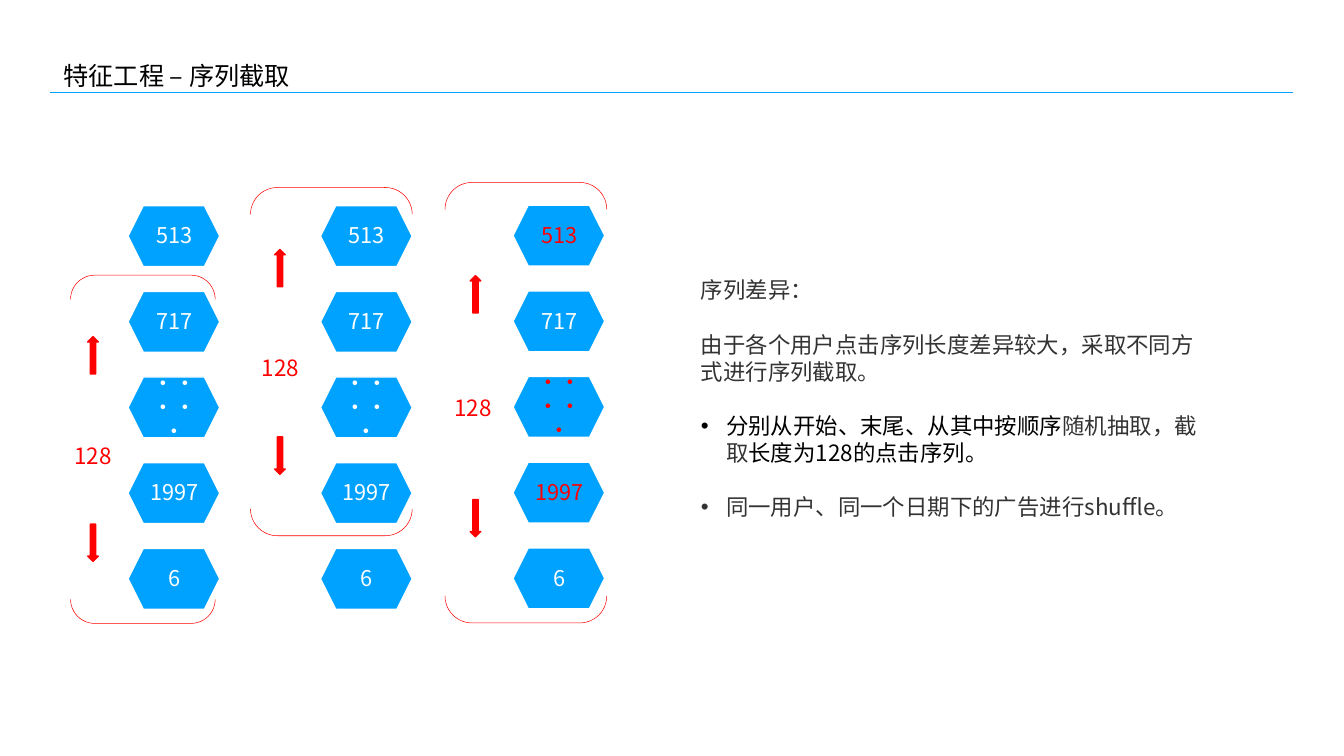
from lxml import etree
from pptx import Presentation
from pptx.dml.color import RGBColor
from pptx.enum.shapes import MSO_CONNECTOR, MSO_SHAPE
from pptx.enum.text import MSO_ANCHOR, PP_ALIGN
from pptx.oxml.ns import qn
from pptx.util import Inches, Pt

STRAIGHT = MSO_CONNECTOR.STRAIGHT
HEXAGON = MSO_SHAPE.HEXAGON
UP_ARROW = MSO_SHAPE.UP_ARROW
BRACKETS = MSO_SHAPE.DOUBLE_BRACKET
MIDDLE = MSO_ANCHOR.MIDDLE
CENTER = PP_ALIGN.CENTER

FONT = "Noto Sans CJK SC"
COLORS = {"blue": "00A2FF", "red": "FF0000", "white": "FFFFFF", "black": "000000", "gray": "333333"}

CLICKS = ["513", "717", "·····", "1997", "6"]
ROW_PITCH = 1.7
HEX_WIDTH, HEX_HEIGHT = 1.82, 1.21
ARROW_WIDTH, ARROW_HEIGHT = 0.21, 0.74
LABEL_WIDTH, LABEL_HEIGHT = 0.95, 0.7

# column left/top, red clicks, bracket box, label left/top, arrow left, arrow tops
SEQUENCES = [
    ((2.54, 4.08), (), (1.4, 5.46, 2.87, 6.91), (1.37, 8.68), 1.74, (6.68, 10.4)),
    ((6.36, 4.08), (), (4.97, 3.72, 3.21, 6.91), (5.09, 6.95), 5.45, (4.95, 8.67)),
    ((10.18, 4.07), ("513", "·····", "1997"), (8.83, 3.62, 3.21, 8.74), (8.91, 7.74), 9.33, (5.47, 9.91)),
]

NOTES = [
    (False, [("序列差异：", "gray")]),
    (False, [("由于各个用户点击序列长度差异较大，采取不同方式进行序列截取。", "gray")]),
    (True, [("分别从开始、末尾、从其中按顺序", "black"), ("随机抽取，截取", "gray"),
            ("长度为128的点击序列。", "black")]),
    (True, [("同一用户、同一个日期下的广告进行shuffle。", "gray")]),
]


def rgb(name):
    """Return the named colour."""
    return RGBColor.from_string(COLORS[name])


def format_run(run, size, color):
    """Set size, colour and both Latin and East Asian fonts of a run."""
    run.font.size = Pt(size)
    run.font.name = FONT
    run.font.color.rgb = rgb(color)
    etree.SubElement(run.font._element, qn("a:ea")).set("typeface", FONT)


def add_text(shapes, box, text, size, color, inset=0.08, wrap=True):
    """Add a vertically centred one-paragraph text box and return its paragraph."""
    frame = shapes.add_textbox(*map(Inches, box)).text_frame
    frame.word_wrap = wrap
    frame.vertical_anchor = MIDDLE
    frame.margin_left = frame.margin_right = Inches(inset)
    frame.margin_top = frame.margin_bottom = Inches(inset)
    paragraph = frame.paragraphs[0]
    paragraph.text = text
    format_run(paragraph.runs[0], size, color)
    return paragraph


def add_preset(shapes, kind, box, fill, line, width):
    """Add a preset shape, unfilled when fill is None."""
    shape = shapes.add_shape(kind, *map(Inches, box))
    shape.shadow.inherit = False
    if fill:
        shape.fill.solid()
        shape.fill.fore_color.rgb = rgb(fill)
    else:
        shape.fill.background()
    shape.line.color.rgb = rgb(line)
    shape.line.width = Pt(width)
    return shape


def add_header(slide, left, top, width):
    """Place the title above its rule."""
    add_text(slide.shapes, (left + 0.18, top, 21.61, 0.76), "特征工程 – 序列截取", 36, "black")
    rule_y = Inches(top + 0.72)
    rule = slide.shapes.add_connector(STRAIGHT, Inches(left), rule_y, Inches(left + width), rule_y)
    rule.line.color.rgb = rgb("blue")
    rule.line.width = Pt(2)
    etree.SubElement(rule._element.spPr, qn("a:effectLst"))


def add_click(slide, left, top, text, color):
    """Place one grouped hexagon with its click id."""
    click = slide.shapes.add_group_shape()
    add_preset(click.shapes, HEXAGON, (left, top, HEX_WIDTH, HEX_HEIGHT), "blue", "white", 2)
    box = (left + 0.26, top + 0.17, 1.31, 0.88)
    paragraph = add_text(click.shapes, box, text, 31, color, inset=0.13)
    paragraph.alignment = CENTER
    paragraph.line_spacing = Pt(34)


def add_sequence(slide, column, red_clicks, bracket, label, arrow_left, arrow_tops):
    """Place a column of clicks with the bracket, label and arrows of its window."""
    left, top = column
    for row, text in enumerate(CLICKS):
        color = "red" if text in red_clicks else "white"
        add_click(slide, left, top + row * ROW_PITCH, text, color)

    x, y, width, height = bracket
    turned = (x + (width - height) / 2, y + (height - width) / 2, height, width)
    add_preset(slide.shapes, BRACKETS, turned, None, "red", 0.75).rotation = 90

    count = add_text(slide.shapes, (*label, LABEL_WIDTH, LABEL_HEIGHT), "128", 32, "red", wrap=False)
    count.alignment = CENTER
    for arrow_top, angle in zip(arrow_tops, (0, 180)):
        box = (arrow_left, arrow_top, ARROW_WIDTH, ARROW_HEIGHT)
        add_preset(slide.shapes, UP_ARROW, box, "red", "red", 2).rotation = angle


def add_notes_text(slide, left, top, width, height):
    """Place the explanation with its two bullets."""
    frame = slide.shapes.add_textbox(*map(Inches, (left, top, width, height))).text_frame
    frame.word_wrap = True
    for index, (bulleted, parts) in enumerate(NOTES):
        paragraph = frame.add_paragraph() if index else frame.paragraphs[0]
        paragraph.line_spacing = Pt(38.8)
        paragraph.space_before = Pt(38.8 if index else 0)
        for text, color in parts:
            run = paragraph.add_run()
            run.text = text
            format_run(run, 32, color)
        if bulleted:
            properties = paragraph._p.get_or_add_pPr()
            properties.set("marL", str(Inches(0.5)))
            properties.set("indent", str(Inches(-0.5)))
            etree.SubElement(properties, qn("a:buFont")).set("typeface", "Arial")
            etree.SubElement(properties, qn("a:buChar")).set("char", "•")


def main():
    """Build and save the slide."""
    presentation = Presentation()
    presentation.slide_width = Inches(26.67)
    presentation.slide_height = Inches(15)
    slide = presentation.slides.add_slide(presentation.slide_layouts[6])
    add_header(slide, 1, 1.11, 24.65)
    add_notes_text(slide, 13.81, 5.43, 10.06, 4.95)
    for sequence in SEQUENCES:
        add_sequence(slide, *sequence)
    presentation.save("out.pptx")


if __name__ == "__main__":
    main()
